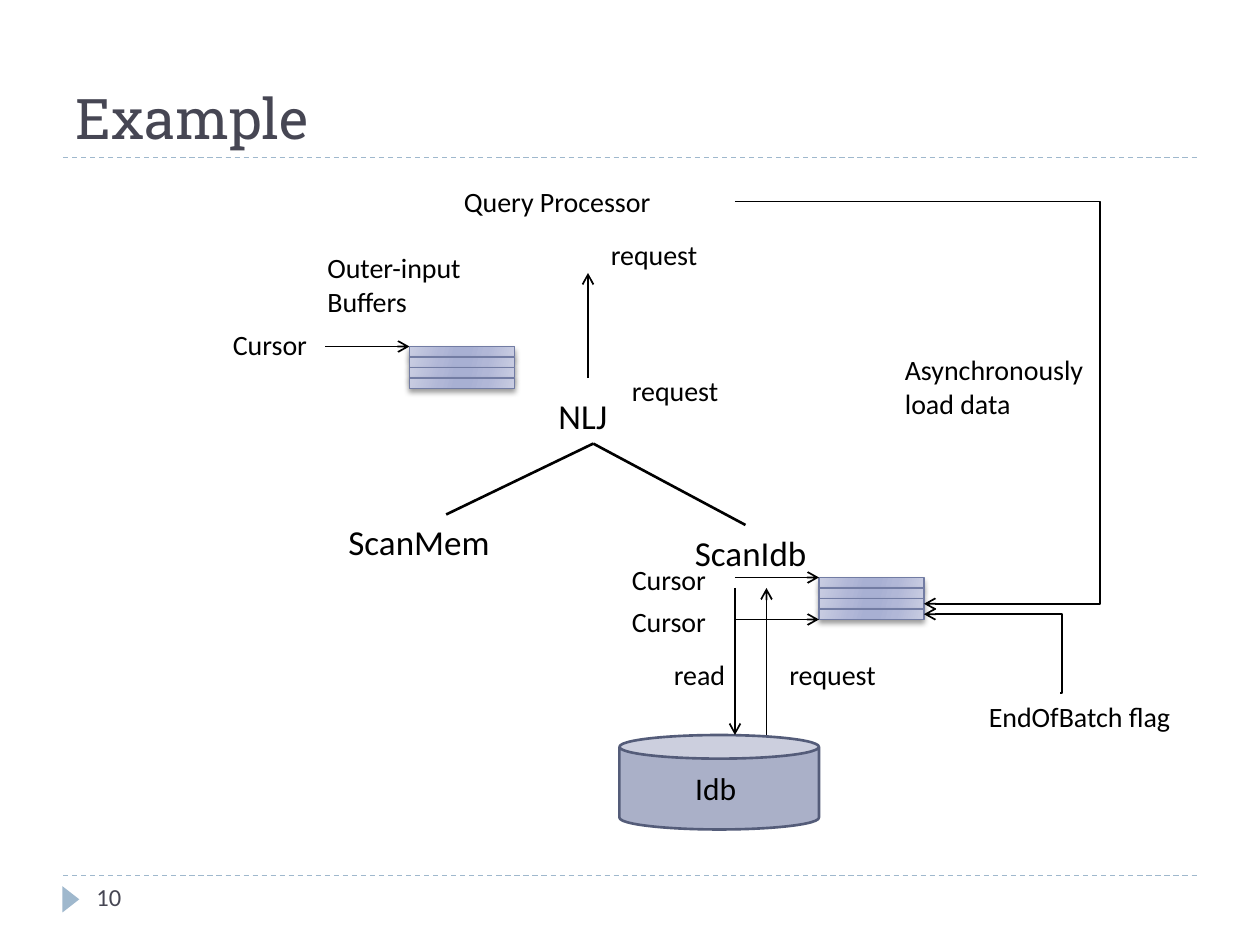
import dataclasses

import pptx
import pptx.dml.color
import pptx.enum.shapes
import pptx.enum.text
import pptx.oxml
import pptx.oxml.ns
import pptx.util

CELL = pptx.util.Inches(1) / 12  # the page is a grid of 120 by 90 cells
LINE_ROWS = 4.4
KIND = pptx.enum.shapes.MSO_SHAPE
ROUTE = pptx.enum.shapes.MSO_CONNECTOR
NAMESPACE = pptx.oxml.ns.nsdecls("a")


@dataclasses.dataclass(frozen=True)
class Theme:
    heading: str = "Roboto Slab"
    body: str = "Calibri"
    ink: str = "000000"
    title: str = "464653"
    accent: str = "9FB8CD"
    store: str = "AAB0C8"
    store_edge: str = "545C79"
    buffer_edge: str = "727CA3"
    buffer_stops: tuple = ((0, "C9CDE2"), (30, "B1B7D7"), (45, "A8B0D3"),
                           (55, "A8B0D3"), (73, "B1B7D7"), (100, "C9CDE2"))
    title_size: int = 32
    node_size: int = 20
    store_size: int = 18
    label_size: int = 16
    number_size: int = 14


THEME = Theme()


@dataclasses.dataclass(frozen=True)
class Box:
    """A region in grid cells; at() and point() turn cells inside it into lengths."""
    left: float
    top: float
    columns: float
    rows: float

    def point(self, column, row):
        return round((self.left + column) * CELL), round((self.top + row) * CELL)

    def at(self, column, row, columns, rows):
        return *self.point(column, row), round(columns * CELL), round(rows * CELL)


def rgb(code):
    return pptx.dml.color.RGBColor.from_string(code)


def set_all(target, values):
    for name, value in values.items():
        setattr(target, name, value)


def write(frame, text, size, color=THEME.ink, face=THEME.body, **para_format):
    frame.word_wrap = True
    frame.text = text
    for para in frame.paragraphs:
        set_all(para, para_format)
        set_all(para.font, {"size": pptx.util.Pt(size), "name": face, "bold": False})
        para.font.color.rgb = rgb(color)


def add_label(page, box, text, column, row, columns=13, rows=LINE_ROWS,
              size=THEME.label_size, color=THEME.ink):
    label = page.shapes.add_textbox(*box.at(column, row, columns, rows))
    write(label.text_frame, text, size, color)


def paint(shape, fill, edge=None, width=0.75):
    shape.shadow.inherit = False
    shape.fill.solid()
    shape.fill.fore_color.rgb = rgb(fill)
    if edge:
        shape.line.color.rgb = rgb(edge)
        shape.line.width = pptx.util.Pt(width)
    else:
        shape.line.fill.background()


def add_line(page, box, start, end, width=1, color=THEME.ink, arrow=False, bend=None):
    """Draw a line between two cells; bend is the share of its width at which it turns."""
    route = ROUTE.STRAIGHT if bend is None else ROUTE.ELBOW
    line = page.shapes.add_connector(route, *box.point(*start), *box.point(*end))
    line.line.color.rgb = rgb(color)
    line.line.width = pptx.util.Pt(width)
    properties = line._element.spPr
    if arrow:
        properties.find(pptx.oxml.ns.qn("a:ln")).append(
            pptx.oxml.parse_xml(f'<a:tailEnd {NAMESPACE} type="arrow"/>'))
    if bend is not None:
        guides = properties.prstGeom.get_or_add_avLst()
        guides.append(pptx.oxml.parse_xml(
            f'<a:gd {NAMESPACE} name="adj1" fmla="val {round(bend * 100000)}"/>'))
    properties.append(pptx.oxml.parse_xml(f"<a:effectLst {NAMESPACE}/>"))
    return line


def add_divider(page, box):
    line = add_line(page, box, (0, 0), (box.columns, 0), 0.75, THEME.accent)
    line.line.dash_style = pptx.enum.dml.MSO_LINE.DASH


def add_header(page, box):
    title = page.shapes.title
    names = ("left", "top", "width", "height")
    set_all(title, dict(zip(names, box.at(0, 0, box.columns, box.rows))))
    write(title.text_frame, "Example", THEME.title_size, THEME.title, THEME.heading,
          alignment=pptx.enum.text.PP_ALIGN.LEFT)
    title.text_frame.vertical_anchor = pptx.enum.text.MSO_ANCHOR.BOTTOM
    add_divider(page, Box(box.left, box.top + box.rows, box.columns, 0))


def add_footer(page, box):
    add_divider(page, box)
    marker = page.shapes.add_shape(KIND.ISOSCELES_TRIANGLE, *box.at(-0.5, 1.45, 2.5, 1.6))
    marker.rotation = 90
    paint(marker, THEME.accent)
    add_label(page, box, "10", 2, 0, 26, 4.8, THEME.number_size, THEME.title)


def add_buffer(page, box, slots=4):
    """Stack equal slots, as one group, to fill the box."""
    stops = "".join(f'<a:gs pos="{share * 1000}"><a:srgbClr val="{color}"/></a:gs>'
                    for share, color in THEME.buffer_stops)
    group = page.shapes.add_group_shape()
    height = box.rows / slots
    for index in range(slots):
        slot = group.shapes.add_shape(
            KIND.RECTANGLE, *box.at(0, index * height, box.columns, height))
        paint(slot, THEME.store, THEME.buffer_edge)
        properties = slot._element.spPr
        solid = properties.find(pptx.oxml.ns.qn("a:solidFill"))
        properties.replace(solid, pptx.oxml.parse_xml(
            f'<a:gradFill {NAMESPACE} rotWithShape="1"><a:gsLst>{stops}</a:gsLst>'
            f'<a:lin ang="{16 * 60000}" scaled="0"/></a:gradFill>'))
        properties.find(pptx.oxml.ns.qn("a:effectLst")).append(pptx.oxml.parse_xml(
            f'<a:outerShdw {NAMESPACE} blurRad="38100" dist="25400" dir="5400000"'
            ' rotWithShape="0"><a:srgbClr val="000000"><a:alpha val="40000"/>'
            '</a:srgbClr></a:outerShdw>'))


def add_query_tree(page, box):
    add_label(page, box, "Query Processor", 11, 0, 27)
    add_label(page, box, "request", 25, 5)
    add_label(page, box, "request", 27, 18)
    for name, column, row, columns in (("NLJ", 20, 20, 9), ("ScanMem", 0, 32, 21),
                                       ("ScanIdb", 33, 33, 21)):
        add_label(page, box, name, column, row, columns, 5.3, THEME.node_size)
    for child in ((10.5, 32), (39, 33)):
        add_line(page, box, (24.5, 25.25), child, 1.5)
    add_line(page, box, (24, 19), (24, 9), arrow=True)


def add_outer_input(page, box):
    add_label(page, box, "Outer-input\nBuffers", 9, 0, 17, 7.7)
    add_label(page, box, "Cursor", 0, 7.3)
    add_line(page, box, (10, 9.7), (18, 9.7), arrow=True)
    add_buffer(page, Box(box.left + 18, box.top + 9.7, 10, 4))


def add_storage(page, box):
    add_buffer(page, Box(box.left + 19, box.top + 2, 10, 4))
    for row in (0, 4):
        add_label(page, box, "Cursor", 0, row)
        add_line(page, box, (11, row + 2), (19, row + 2), arrow=True)
    store = page.shapes.add_shape(KIND.CAN, *box.at(0, 17, 19, 9))
    paint(store, THEME.store, THEME.store_edge, 1.5)
    write(store.text_frame, "Idb ", THEME.store_size,
          alignment=pptx.enum.text.PP_ALIGN.CENTER)
    store.text_frame.vertical_anchor = pptx.enum.text.MSO_ANCHOR.MIDDLE
    add_line(page, box, (11, 3), (11, 17), arrow=True)
    add_line(page, box, (14, 17), (14, 3), arrow=True)
    add_label(page, box, "read", 4, 9)
    add_label(page, box, "request", 15, 9)


def add_batch_loading(page, box):
    add_line(page, box, (0, 0), (18, 38.3), arrow=True, bend=1.93)
    add_label(page, box, "Asynchronously\nload data", 15, 13.8, 23, 7.7)
    add_line(page, box, (31, 46.8), (18, 39.3), arrow=True, bend=-0.01)
    add_label(page, box, "EndOfBatch flag", 23, 46.8, 23)


def main():
    deck = pptx.Presentation()
    set_all(deck, {"slide_width": round(120 * CELL), "slide_height": round(90 * CELL)})
    page = deck.slides.add_slide(deck.slide_layouts.get_by_name("Title Only"))
    add_header(page, Box(6, 2, 108, 13))
    add_footer(page, Box(6, 83.4, 108, 6.6))
    add_query_tree(page, Box(32, 17, 54, 39))
    add_outer_input(page, Box(21, 23.3, 28, 13.7))
    add_storage(page, Box(59, 53, 29, 26))
    add_batch_loading(page, Box(70, 19.2, 46, 51.2))
    deck.save("out.pptx")


if __name__ == "__main__":
    main()
